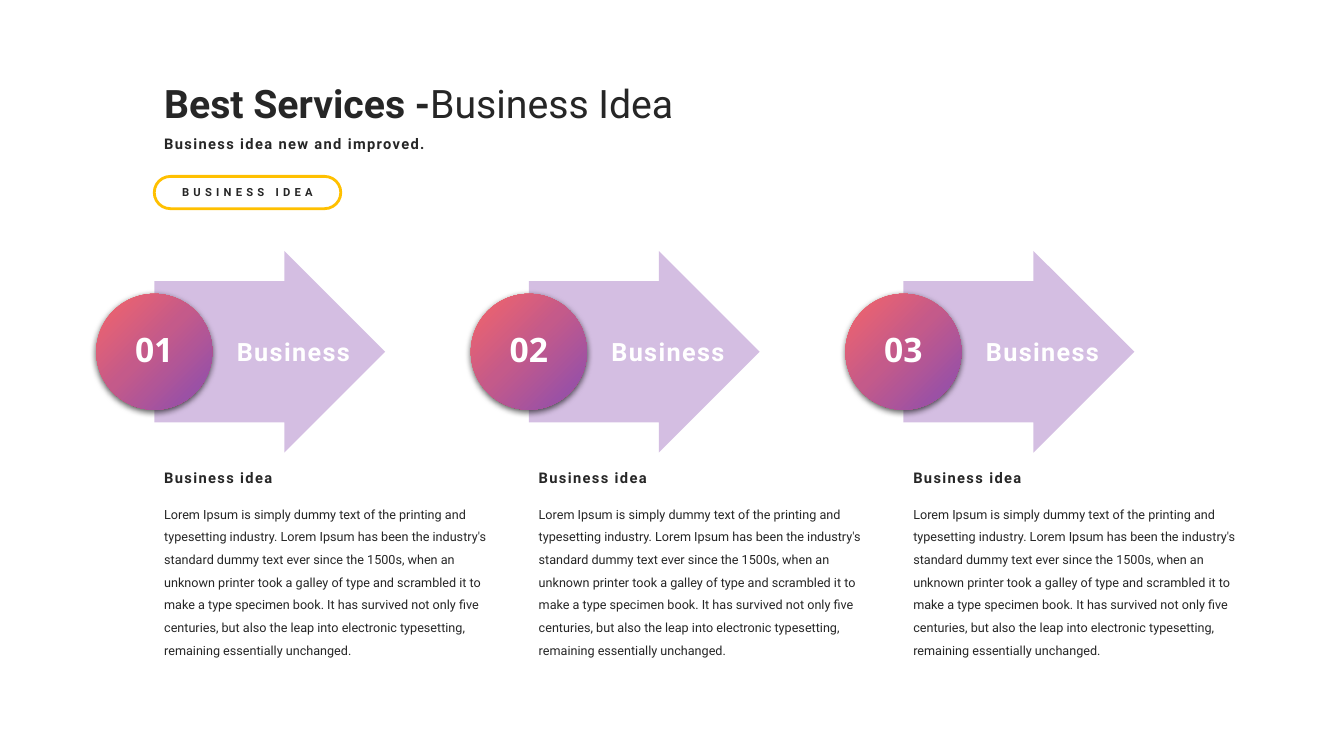
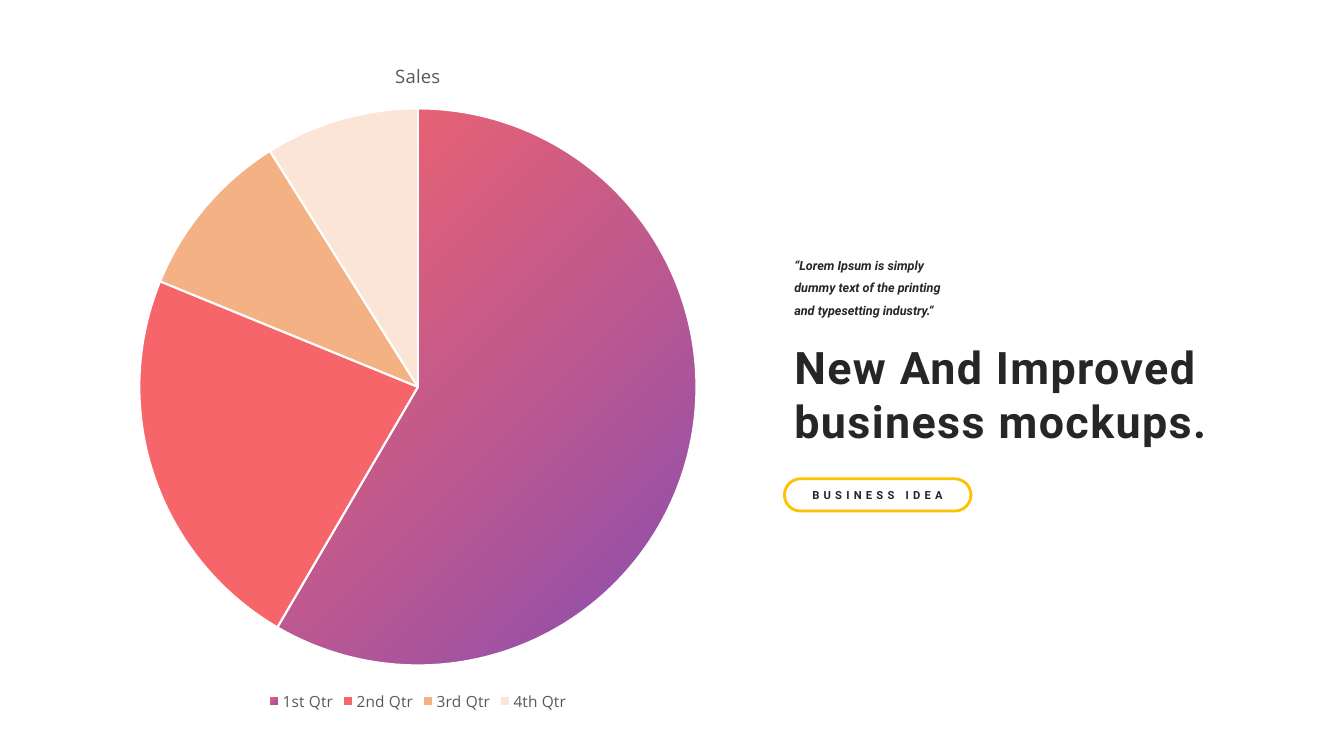
from copy import deepcopy
from dataclasses import dataclass

from lxml.etree import SubElement as Sub
from pptx import Presentation
from pptx.chart.data import CategoryChartData as Data
from pptx.dml.color import RGBColor as RGB
from pptx.enum.chart import XL_CHART_TYPE as Kind, XL_LEGEND_POSITION as Side
from pptx.enum.shapes import MSO_SHAPE as Form
from pptx.enum.text import MSO_ANCHOR as Anchor, MSO_AUTO_SIZE as Fit, PP_ALIGN as Align
from pptx.oxml.ns import qn
from pptx.util import Inches, Pt


@dataclass(frozen=True)
class Style:
    """Type style; gap is the letter spacing in points."""
    size: float
    color: str = "262626"
    bold: bool = False
    italic: bool = False
    gap: float = 0
    lead: float = 1.0
    font: str = "Roboto"


@dataclass(frozen=True)
class Theme:
    """Colours and type styles of the deck."""
    purple: str = "894DB1"
    gold: str = "FFC000"
    white: str = "FFFFFF"
    black: str = "000000"
    blend: tuple = ((0, "F66569"), (0.47, "C45A8A"), (1, "894DB1"))
    slices: tuple = ("F66569", "F4B183", "FBE5D6")
    title: Style = Style(28)
    head: Style = Style(10.5, bold=True, gap=1)
    body: Style = Style(9, lead=1.5)
    quote: Style = Style(9, bold=True, italic=True, lead=1.5)
    slogan: Style = Style(32, bold=True, gap=1)
    tag: Style = Style(8, bold=True, gap=3)
    label: Style = Style(18, "FFFFFF", bold=True, gap=1)
    number: Style = Style(24, "FFFFFF", bold=True, lead=0.9, font="Open Sans")
    legend: Style = Style(11, "595959", font="Open Sans")
    chart: Style = Style(13.2, "595959", font="Open Sans")


T = Theme()
LOREM = (
    "Lorem Ipsum\u00a0is simply dummy text of the printing and typesetting "
    "industry. Lorem Ipsum has been the industry's standard dummy text ever "
    "since the 1500s, when an unknown printer took a galley of type and "
    "scrambled it to make a type specimen book. It has survived not only five "
    "centuries, but also the leap into electronic typesetting, remaining "
    "essentially unchanged."
)


def rgb(code):
    """Turn a hex code into a colour."""
    return RGB.from_string(code)


def set_font(font, style):
    """Apply a style to a font."""
    font.name, font.size = style.font, Pt(style.size)
    font.bold, font.italic = style.bold, style.italic
    font.color.rgb = rgb(style.color)


def write(frame, text, style, align=Align.LEFT):
    """Fill a text frame with one styled paragraph."""
    frame.word_wrap = True
    para = frame.paragraphs[0]
    para.text = text
    para.alignment = align
    para.line_spacing = style.lead
    set_font(para.font, style)
    if style.gap:
        mark = next(para._p.iter(qn("a:defRPr")))
        mark.set("spc", str(int(style.gap * 100)))
    return para


def add_text(shapes, box, text, style):
    """Add a text box that grows with its text."""
    frame = shapes.add_textbox(*map(Inches, box)).text_frame
    frame.auto_size = Fit.SHAPE_TO_FIT_TEXT
    return write(frame, text, style)


def add_form(shapes, form, box):
    """Add a preset shape without line or shadow."""
    shape = shapes.add_shape(form, *map(Inches, box))
    shape.shadow.inherit = False
    shape.line.fill.background()
    return shape


def fade(color, alpha):
    """Set the opacity, in percent, of a colour element."""
    Sub(color, qn("a:alpha"), val=str(alpha * 1000))


def blend(fill, root):
    """Give a fill the diagonal theme gradient; root holds its XML."""
    fill.gradient()
    fill.gradient_angle = 315
    stops = next(root.iter(qn("a:gsLst")))
    stops.append(deepcopy(stops[0]))
    for stop, (place, code) in zip(fill.gradient_stops, T.blend):
        stop.position = place
        stop.color.rgb = rgb(code)


def add_shade(shape):
    """Cast a soft shadow below a shape."""
    effects = next(shape.element.iter(qn("a:effectLst")))
    shade = Sub(effects, qn("a:outerShdw"), blurRad=str(Pt(4.5)),
                dist=str(Pt(1.5)), dir="5400000", algn="ctr", rotWithShape="0")
    fade(Sub(shade, qn("a:srgbClr"), val=T.black), 63)


def add_tag(shapes, left, top):
    """Add the outlined pill."""
    pill = add_form(shapes, Form.ROUNDED_RECTANGLE, (left, top, 1.85, 0.32))
    pill.adjustments[0] = 0.5
    pill.fill.background()
    pill.line.color.rgb = rgb(T.gold)
    pill.line.width = Pt(2)
    pill.text_frame.vertical_anchor = Anchor.MIDDLE
    write(pill.text_frame, "BUSINESS IDEA", T.tag, Align.CENTER)


def add_header(shapes, left, top):
    """Add the two-weight title, its subtitle and the pill."""
    para = add_text(shapes, (left, top, 5.36, 0.57), "Best Services -", T.title)
    para.runs[0].font.bold = True
    para.add_run().text = "Business Idea"
    add_text(shapes, (left, top + 0.55, 3.09, 0.29),
             "Business idea new and improved.", T.head)
    add_tag(shapes, left, top + 1.01)


def add_step(shapes, left, top, number):
    """Add a numbered arrow with its heading and text."""
    arrow = add_form(shapes, Form.RIGHT_ARROW, (left, top, 2.29, 2))
    arrow.adjustments[0], arrow.adjustments[1] = 0.7, 0.5
    arrow.fill.solid()
    arrow.fill.fore_color.rgb = rgb(T.purple)
    fade(next(arrow.element.iter(qn("a:srgbClr"))), 36)

    size = 1.15
    disc = add_form(shapes, Form.OVAL,
                    (left - size / 2, top + 1 - size / 2, size, size))
    blend(disc.fill, disc.element)
    add_shade(disc)
    frame = disc.text_frame
    frame.vertical_anchor = Anchor.MIDDLE
    frame.margin_left = frame.margin_right = Inches(0.18)
    frame.margin_top = frame.margin_bottom = Inches(0.18)
    write(frame, f"{number:02}", T.number, Align.CENTER)

    add_text(shapes, (left, top + 2.11, 3.42, 0.29), "Business idea", T.head)
    add_text(shapes, (left, top + 2.41, 3.42, 1.67), LOREM, T.body)
    add_text(shapes, (left + 0.72, top + 0.8, 1.51, 0.4), "Business", T.label)


def add_pie(shapes, box):
    """Add the sales pie with title and legend."""
    data = Data()
    data.categories = ["1st Qtr", "2nd Qtr", "3rd Qtr", "4th Qtr"]
    data.add_series("Sales", (59, 23, 10, 9))
    chart = shapes.add_chart(Kind.PIE, *map(Inches, box), data).chart
    set_font(chart.font, T.legend)
    chart.has_title = True
    write(chart.chart_title.text_frame, "Sales", T.chart, Align.CENTER)
    chart.has_legend = True
    chart.legend.position = Side.BOTTOM
    chart.legend.include_in_layout = False
    set_font(chart.legend.font, T.legend)

    plot = chart.plots[0]
    plot.vary_by_categories = True
    points = plot.series[0].points
    blend(points[0].format.fill, chart.element)
    for spot, code in enumerate(T.slices, 1):
        fill = points[spot].format.fill
        fill.solid()
        fill.fore_color.rgb = rgb(code)
    for spot in range(4):
        line = points[spot].format.line
        line.color.rgb = rgb(T.white)
        line.width = Pt(1.5)


def add_pitch(shapes, left, top):
    """Add the quote, the slogan and the pill."""
    add_text(shapes, (left, top, 1.85, 0.76),
             "\u201cLorem Ipsum\u00a0is simply dummy text of the printing "
             "and typesetting industry.\u201c", T.quote)
    add_text(shapes, (left, top + 0.89, 4.36, 1.18),
             "New And Improved business mockups.", T.slogan)
    add_tag(shapes, left, top + 2.32)


def add_slide(deck):
    """Add a blank white slide."""
    slide = deck.slides.add_slide(deck.slide_layouts[6])
    slide.background.fill.solid()
    slide.background.fill.fore_color.rgb = rgb(T.white)
    return slide.shapes


def add_group(shapes):
    """Add a group and return its shapes."""
    return shapes.add_group_shape().shapes


def main():
    """Build and save the deck."""
    deck = Presentation()
    deck.slide_width, deck.slide_height = Inches(13.33), Inches(7.5)

    steps = add_slide(deck)
    left, pitch = 1.53, 7.43 / 2
    for spot in range(3):
        add_step(add_group(steps), left + spot * pitch, 2.49, spot + 1)
    add_header(add_group(steps), left, 0.74)

    sales = add_slide(deck)
    add_pie(sales, (1.09, 0.39, 6.11, 6.71))
    add_pitch(add_group(sales), 7.78, 2.43)

    deck.save("out.pptx")


main()
